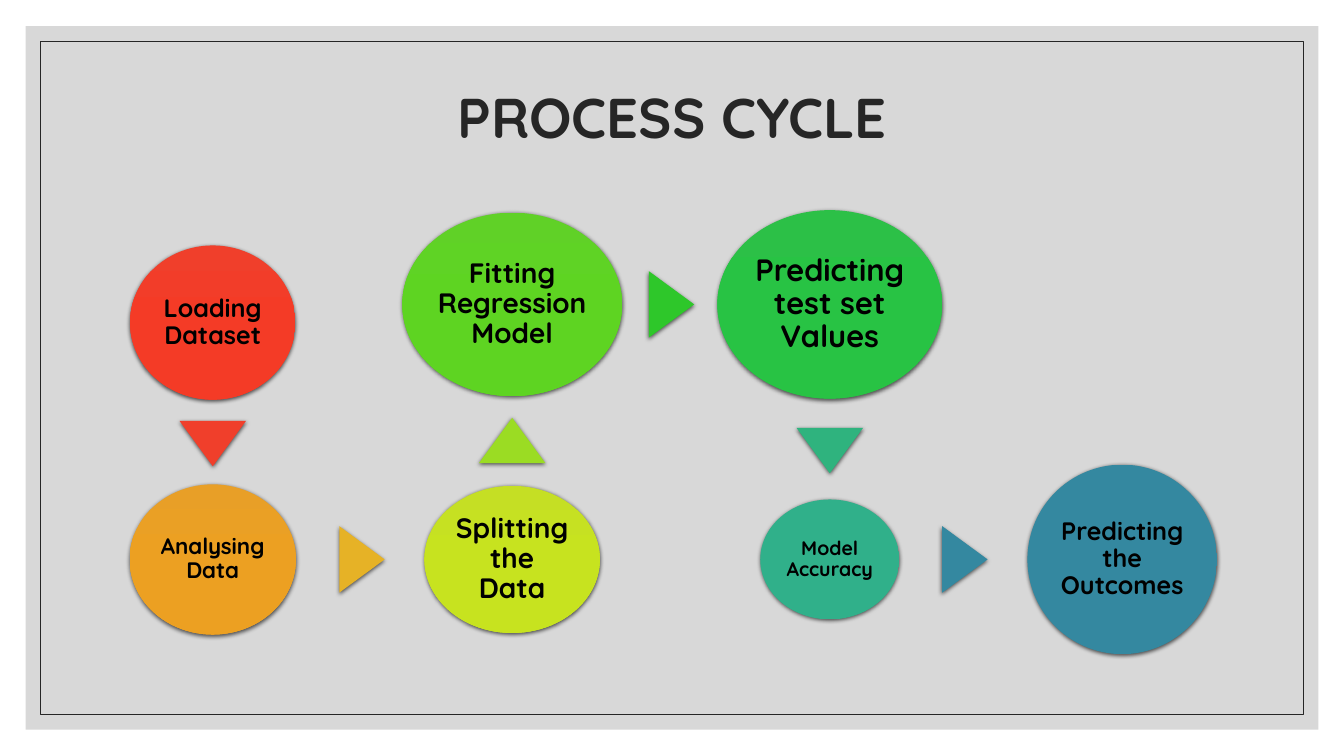
import pptx
import pptx.util
import pptx.dml.color
import pptx.enum.shapes
import pptx.enum.text
import pptx.oxml.ns
import lxml.etree

Inches = pptx.util.Inches
Pt = pptx.util.Pt
RGBColor = pptx.dml.color.RGBColor
MSO_SHAPE = pptx.enum.shapes.MSO_SHAPE
qn = pptx.oxml.ns.qn

BLACK = RGBColor(0x00, 0x00, 0x00)
CHARCOAL = RGBColor(0x26, 0x26, 0x26)
PANEL_GRAY = RGBColor(0xBF, 0xBF, 0xBF)

SLIDE_WIDTH, SLIDE_HEIGHT = 13.33, 7.5
COLUMNS = [2.11, 5.08, 8.23, 11.13]
UPPER_ROW, LOWER_ROW = 3.02, 5.55
ARROW_WIDTH, ARROW_HEIGHT = 0.66, 0.45
UP, RIGHT, DOWN = 0, 90, 180

presentation = pptx.Presentation()
presentation.slide_width = Inches(SLIDE_WIDTH)
presentation.slide_height = Inches(SLIDE_HEIGHT)
slide = presentation.slides.add_slide(presentation.slide_layouts[6])


def add_centred_shape(kind, center_x, center_y, width, height, shadowed=True):
    shape = slide.shapes.add_shape(
        kind, Inches(center_x - width / 2), Inches(center_y - height / 2),
        Inches(width), Inches(height))
    shape.line.fill.background()
    shape.shadow.inherit = False
    if shadowed:
        effects = shape._element.spPr.find(qn("a:effectLst"))
        shadow = lxml.etree.SubElement(
            effects, qn("a:outerShdw"), blurRad=str(Pt(3)), dist=str(Pt(1)),
            dir="5400000", algn="ctr", rotWithShape="0")
        color = lxml.etree.SubElement(shadow, qn("a:srgbClr"), val="000000")
        lxml.etree.SubElement(color, qn("a:alpha"), val="63000")
    return shape


def write_text(shape, text, size, color, inset):
    frame = shape.text_frame
    frame.word_wrap = True
    frame.vertical_anchor = pptx.enum.text.MSO_ANCHOR.MIDDLE
    frame.margin_left = frame.margin_right = Inches(inset)
    frame.margin_top = frame.margin_bottom = Inches(inset)
    paragraph = frame.paragraphs[0]
    paragraph.alignment = pptx.enum.text.PP_ALIGN.CENTER
    paragraph.line_spacing = 0.9
    run = paragraph.add_run()
    run.text = text
    run.font.name = "Quicksand"
    run.font.size = Pt(size)
    run.font.bold = True
    run.font.color.rgb = color


middle = (SLIDE_WIDTH / 2, SLIDE_HEIGHT / 2)
panel = add_centred_shape(MSO_SHAPE.RECTANGLE, *middle, 12.82, 6.98, shadowed=False)
panel.fill.solid()
panel.fill.fore_color.rgb = PANEL_GRAY
panel_color = panel._element.spPr.find(qn("a:solidFill")).find(qn("a:srgbClr"))
lxml.etree.SubElement(panel_color, qn("a:alpha"), val="60000")

border = add_centred_shape(MSO_SHAPE.RECTANGLE, *middle, 12.52, 6.68, shadowed=False)
border.fill.background()
border.line.color.rgb = CHARCOAL
border.line.width = Pt(0.5)

title = slide.shapes.add_textbox(Inches(1.17), Inches(0.7), Inches(11), Inches(0.99))
write_text(title, "PROCESS CYCLE", 40, CHARCOAL, 0.1)

steps = [
    ("Loading Dataset", 18, COLUMNS[0], 3.2, 1.64, 1.53,
     RGBColor(0xF0, 0x3F, 0x2B), RGBColor(0xF4, 0x3B, 0x26)),
    ("Analysing Data", 16, COLUMNS[0], LOWER_ROW, 1.65, 1.49,
     RGBColor(0xE8, 0x9F, 0x27), RGBColor(0xEC, 0xA0, 0x22)),
    ("Splitting the Data", 20, COLUMNS[1], LOWER_ROW, 1.74, 1.46,
     RGBColor(0xC5, 0xDF, 0x24), RGBColor(0xC7, 0xE3, 0x1F)),
    ("Fitting Regression Model", 20, COLUMNS[1], UPPER_ROW, 2.18, 1.82,
     RGBColor(0x60, 0xD1, 0x27), RGBColor(0x5E, 0xD4, 0x22)),
    ("Predicting test set Values", 22, COLUMNS[2], UPPER_ROW, 2.23, 1.87,
     RGBColor(0x2C, 0xC0, 0x47), RGBColor(0x28, 0xC3, 0x44)),
    ("Model Accuracy", 14, COLUMNS[2], LOWER_ROW, 1.38, 1.19,
     RGBColor(0x30, 0xB0, 0x8A), RGBColor(0x2D, 0xB2, 0x8A)),
    ("Predicting the Outcomes", 18, COLUMNS[3], LOWER_ROW, 1.88, 1.88,
     RGBColor(0x34, 0x88, 0xA0), RGBColor(0x31, 0x89, 0xA2)),
]
for text, size, center_x, center_y, width, height, top_color, main_color in steps:
    circle = add_centred_shape(MSO_SHAPE.OVAL, center_x, center_y, width, height)
    circle.fill.gradient()
    circle.fill.gradient_angle = 270
    stops = circle.fill.gradient_stops
    for stop, position, color in zip(stops, (0, 0.5), (top_color, main_color)):
        stop.position = position
        stop.color.rgb = color
    write_text(circle, text, size, BLACK, 0.03)

arrows = [
    (COLUMNS[0], 4.4, DOWN, RGBColor(0xF0, 0x3F, 0x2B)),
    (3.59, LOWER_ROW, RIGHT, RGBColor(0xE6, 0xB2, 0x26)),
    (COLUMNS[1], 4.37, UP, RGBColor(0x9B, 0xDC, 0x23)),
    (6.66, UPPER_ROW, RIGHT, RGBColor(0x2E, 0xC7, 0x2A)),
    (COLUMNS[2], 4.47, DOWN, RGBColor(0x2F, 0xB3, 0x7E)),
    (9.57, LOWER_ROW, RIGHT, RGBColor(0x34, 0x88, 0xA0)),
]
for center_x, center_y, rotation, color in arrows:
    arrow = add_centred_shape(
        MSO_SHAPE.ISOSCELES_TRIANGLE, center_x, center_y, ARROW_WIDTH, ARROW_HEIGHT)
    arrow.rotation = rotation
    arrow.fill.solid()
    arrow.fill.fore_color.rgb = color

presentation.save("out.pptx")
